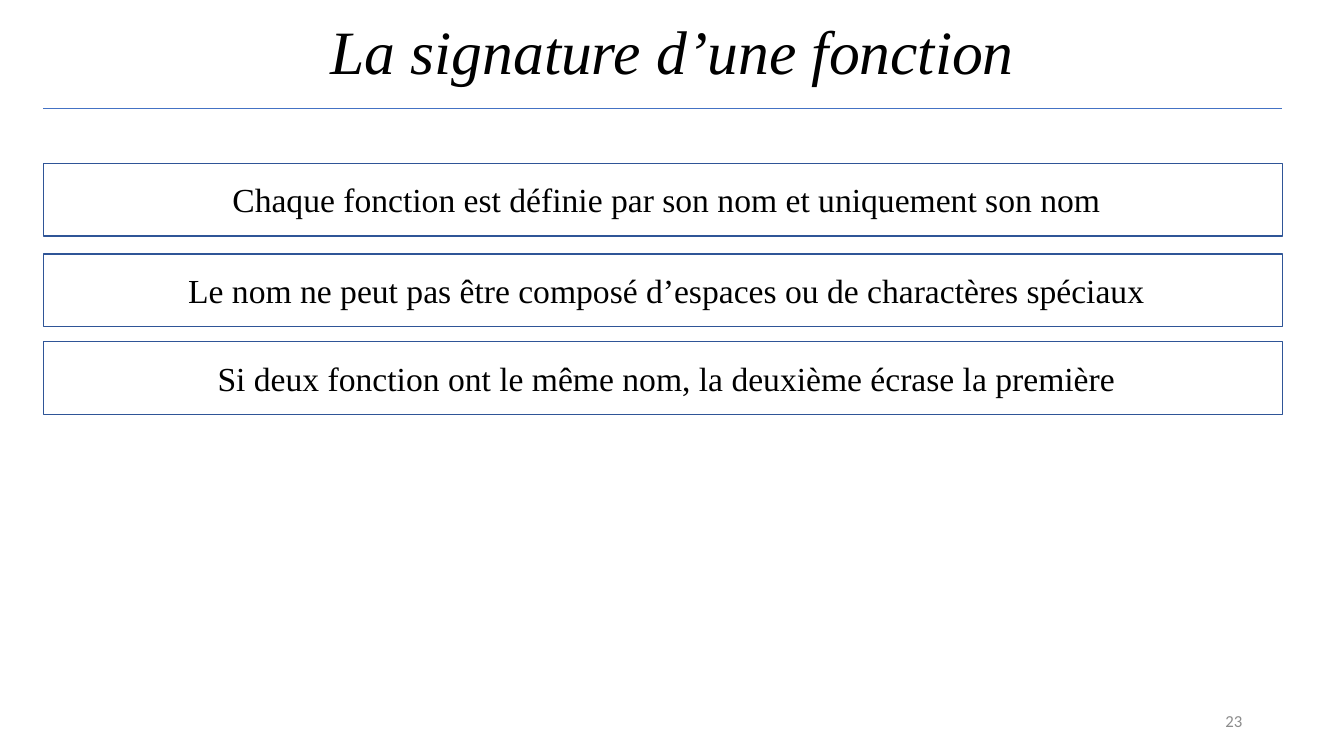
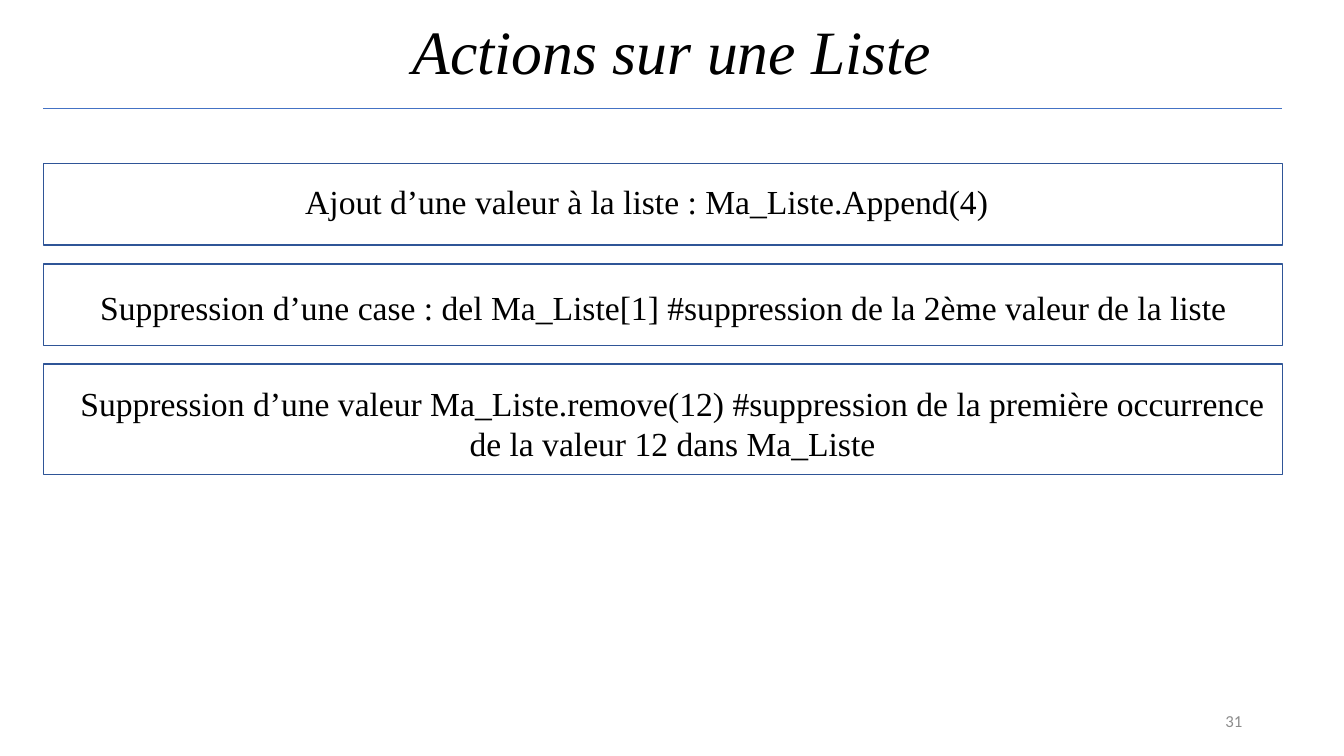
from pptx import Presentation
from pptx.dml.color import RGBColor
from pptx.enum.shapes import MSO_CONNECTOR, MSO_SHAPE
from pptx.enum.text import MSO_ANCHOR, PP_ALIGN
from pptx.oxml.ns import qn
from pptx.util import Pt
from lxml.etree import SubElement

PX = 9144
COLORS = {"text": "000000", "number": "8C8C8C", "rule": "4472C4", "frame": "2F5597"}
SERIF = "Times New Roman"
LEFT, WIDTH = 43, 1229

SLIDES = [
    ("La signature d’une fonction", "23", [
        (162, 72, (18, 11, 1200, 50),
         "Chaque fonction est définie par son nom et uniquement son nom"),
        (252, 72, (18, 11, 1200, 50),
         "Le nom ne peut pas être composé d’espaces ou de charactères spéciaux"),
        (339, 72, (18, 11, 1200, 50),
         "Si deux fonction ont le même nom, la deuxième écrase la première"),
    ]),
    ("Actions sur une Liste", "31", [
        (162, 81, (18, 13, 1161, 50),
         "Ajout d’une valeur à la liste : Ma_Liste.Append(4)"),
        (262, 81, (15, 18, 1200, 50),
         "Suppression d’une case : del Ma_Liste[1] #suppression de la 2ème valeur de la liste"),
        (361, 110, (24, 14, 1200, 91),
         "Suppression d’une valeur Ma_Liste.remove(12) #suppression de la première "
         "occurrence de la valeur 12 dans Ma_Liste"),
    ]),
]


def emu(*lengths):
    return [n * PX for n in lengths]


def rgb(name):
    return RGBColor.from_string(COLORS[name])


def add_text(s, box, text, size, font=SERIF, color="text", align=PP_ALIGN.CENTER,
             anchor=MSO_ANCHOR.TOP, italic=False, spacing=None):
    tf = s.shapes.add_textbox(*emu(*box)).text_frame
    tf.word_wrap = True
    tf.vertical_anchor = anchor
    p = tf.paragraphs[0]
    p.alignment = align
    p.line_spacing = spacing
    r = p.add_run()
    r.text = text
    r.font.name = font
    r.font.size = Pt(size)
    r.font.italic = italic
    r.font.color.rgb = rgb(color)


def add_header(s, title):
    add_text(s, (92, -18, 1150, 145), title, 44, anchor=MSO_ANCHOR.MIDDLE,
             italic=True, spacing=0.9)
    rule = s.shapes.add_connector(MSO_CONNECTOR.STRAIGHT,
                                  *emu(LEFT, 108, LEFT + WIDTH, 108))
    rule.line.color.rgb = rgb("rule")
    rule.line.width = Pt(0.5)
    SubElement(rule._element.spPr, qn("a:effectLst"))


def add_footer(s, number):
    add_text(s, (942, 695, 300, 40), number, 12, "Calibri", "number",
             PP_ALIGN.RIGHT, MSO_ANCHOR.MIDDLE)


def add_framed_text(s, box, inset, text):
    left, top = box[:2]
    dx, dy, width, height = inset
    sp = s.shapes.add_shape(MSO_SHAPE.RECTANGLE, *emu(*box))
    sp.shadow.inherit = False
    sp.fill.background()
    sp.line.color.rgb = rgb("frame")
    sp.line.width = Pt(1)
    add_text(s, (left + dx, top + dy, width, height), text, 24)


def add_rules_slide(prs, title, number, items):
    s = prs.slides.add_slide(prs.slide_layouts[6])
    add_header(s, title)
    add_footer(s, number)
    for top, height, inset, text in items:
        add_framed_text(s, (LEFT, top, WIDTH, height), inset, text)


def main():
    prs = Presentation()
    prs.slide_width, prs.slide_height = emu(1333, 750)
    for title, number, items in SLIDES:
        add_rules_slide(prs, title, number, items)
    prs.save("out.pptx")


if __name__ == "__main__":
    main()
